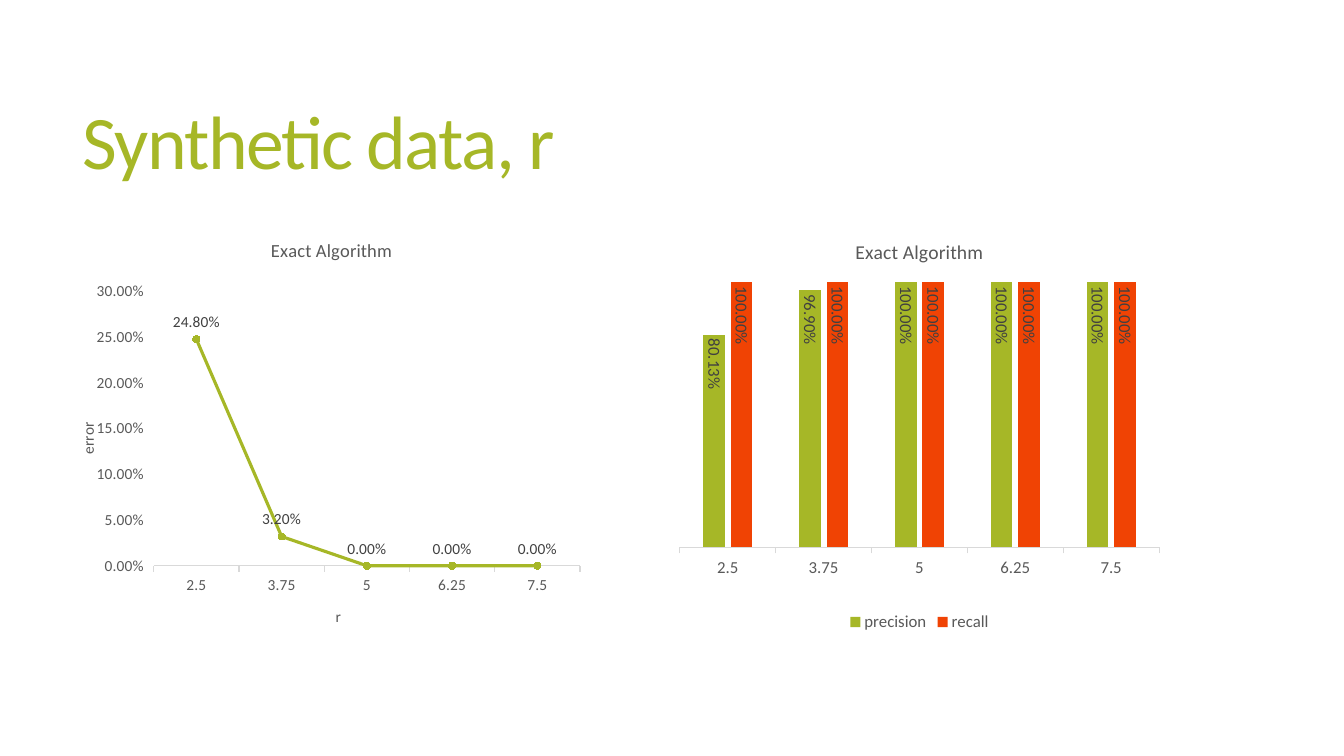
from lxml import etree
from pptx import Presentation
from pptx import util as u
from pptx.chart.data import CategoryChartData
from pptx.dml.color import RGBColor
from pptx.enum import chart as ch, text
from pptx.oxml import ns

COLORS = {"green": "A6B727", "orange": "F04304", "grey": "595959",
          "label": "404040", "axis": "D9D9D9"}
FONT = "Calibri"
PERCENT = "0.00%"
RADII = ["2.5", "3.75", "5", "6.25", "7.5"]


def rgb(name):
    return RGBColor.from_string(COLORS[name])


class Deck:
    """Holds the style and the current slide; lengths are shares of the slide."""

    def __init__(self, width, height):
        self.prs = Presentation()
        self.prs.slide_width = u.Inches(width)
        self.prs.slide_height = u.Inches(height)
        self.s = self.prs.slides.add_slide(self.prs.slide_layouts[6])

    def box(self, x, y, w, h):
        sw, sh = self.prs.slide_width, self.prs.slide_height
        return [int(v) for v in (x * sw, y * sh, w * sw, h * sh)]

    def font(self, font, size, color):
        font.name, font.size, font.bold = FONT, u.Pt(size), False
        font.color.rgb = rgb(color)

    def title(self, words, *area):
        tf = self.s.shapes.add_textbox(*self.box(*area)).text_frame
        tf.word_wrap = True
        tf.vertical_anchor = text.MSO_ANCHOR.MIDDLE
        tf.text = words
        p = tf.paragraphs[0]
        p.line_spacing = 0.85
        r = p.runs[0]
        self.font(r.font, 54, "green")
        r.font._element.set("spc", "-120")

    def caption(self, owner, words, size, rot=0):
        tf = owner.text_frame
        tf.text = words
        self.font(tf.paragraphs[0].runs[0].font, size, "grey")
        self.rotate(tf._txBody, rot)

    def rotate(self, body, degrees):
        props = body.find(ns.qn("a:bodyPr"))
        props.set("rot", str(degrees * 60000))
        props.set("vert", "horz")

    def place_plot(self, chart, *shares):
        area = chart._chartSpace.chart.plotArea
        for old in area.findall(ns.qn("c:layout")):
            area.remove(old)
        layout = etree.Element(ns.qn("c:layout"))
        manual = etree.SubElement(layout, ns.qn("c:manualLayout"))
        values = [("layoutTarget", "inner"), ("xMode", "edge"), ("yMode", "edge")]
        values += zip("xywh", shares)
        for tag, value in values:
            etree.SubElement(manual, ns.qn("c:" + tag)).set("val", str(value))
        area.insert(0, layout)

    def chart(self, kind, series, title, size, title_size, area, plot, top):
        data = CategoryChartData(number_format=PERCENT)
        data.categories = RADII
        for name, values in series.items():
            data.add_series(name, values)
        chart = self.s.shapes.add_chart(kind, *self.box(*area), data).chart
        self.font(chart.font, size, "grey")
        chart.has_legend = False
        chart.has_title = True
        self.caption(chart.chart_title, title, title_size)
        self.place_plot(chart, *plot)

        # Axes
        cat, val = chart.category_axis, chart.value_axis
        for axis in (cat, val):
            axis.has_major_gridlines = False
            self.font(axis.tick_labels.font, size, "grey")
        cat.major_tick_mark = ch.XL_TICK_MARK.OUTSIDE
        cat.format.line.color.rgb = rgb("axis")
        cat.format.line.width = u.Pt(0.75)
        val.minimum_scale, val.maximum_scale = 0, top
        val.tick_labels.number_format = PERCENT
        val.tick_labels.number_format_is_linked = False
        val.format.line.fill.background()
        return chart

    def labels(self, series, position, size, rot=0):
        labels = series.data_labels
        labels.show_value = True
        labels.number_format = PERCENT
        labels.number_format_is_linked = False
        labels.position = position
        self.font(labels.font, size, "label")
        self.rotate(labels._element.find(ns.qn("c:txPr")), rot)

    def line_chart(self, series, title, x_title, y_title, area, plot):
        chart = self.chart(ch.XL_CHART_TYPE.LINE_MARKERS, series, title,
                           11, 13.2, area, plot, 0.3)
        chart.value_axis.major_unit = 0.05
        self.caption(chart.category_axis.axis_title, x_title, 11)
        self.caption(chart.value_axis.axis_title, y_title, 11, -90)
        chart.plots[0].vary_by_categories = False
        for line in chart.plots[0].series:
            line.smooth = False
            line.format.line.color.rgb = rgb("green")
            line.format.line.width = u.Pt(2.25)
            line.marker.style = ch.XL_MARKER_STYLE.CIRCLE
            line.marker.size = 5
            line.marker.format.fill.solid()
            line.marker.format.fill.fore_color.rgb = rgb("green")
            line.marker.format.line.color.rgb = rgb("green")
            self.labels(line, ch.XL_LABEL_POSITION.ABOVE, 11)

    def column_chart(self, series, colors, title, area, plot):
        chart = self.chart(ch.XL_CHART_TYPE.COLUMN_CLUSTERED, series, title,
                           12, 14, area, plot, 1)
        chart.value_axis.visible = False
        chart.has_legend = True
        chart.legend.position = ch.XL_LEGEND_POSITION.BOTTOM
        chart.legend.include_in_layout = False
        self.font(chart.legend.font, 12, "grey")
        bars = chart.plots[0]
        bars.vary_by_categories = False
        bars.gap_width, bars.overlap = 219, -27
        for bar, color in zip(bars.series, colors):
            bar.format.fill.solid()
            bar.format.fill.fore_color.rgb = rgb(color)
            self.labels(bar, ch.XL_LABEL_POSITION.INSIDE_END, 12, 90)


def main():
    W, H = 13.33, 7.5
    deck = Deck(W, H)

    # Heading
    deck.title("Synthetic data, r", 0.72 / W, 0.55 / H, 11.78 / W, 1.81 / H)

    # Two charts of equal size, side by side
    left, right = [(x / W, 2.19 / H, 5.1 / W, 4.12 / H) for x in (0.74, 6.57)]
    deck.line_chart({"Series 1": [0.248, 0.032, 0, 0, 0]}, "Exact Algorithm",
                    "r", "error", left, (0.154, 0.171, 0.829, 0.66))
    deck.column_chart({"precision": [0.8013, 0.969, 1, 1, 1], "recall": [1] * 5},
                      ["green", "orange"], "Exact Algorithm",
                      right, (0.034, 0.148, 0.932, 0.639))

    deck.prs.save("out.pptx")


if __name__ == "__main__":
    main()
